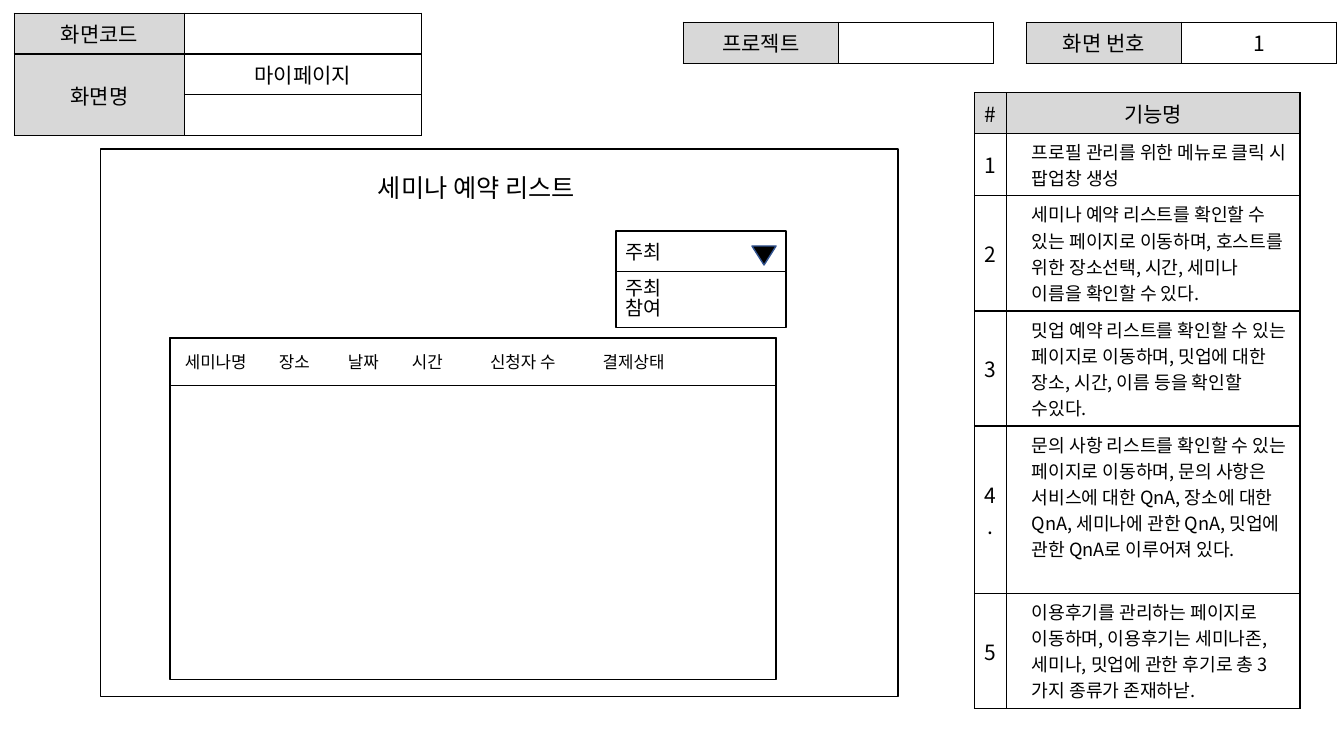
from lxml import etree
from pptx import Presentation
from pptx.dml.color import RGBColor
from pptx.enum.shapes import MSO_SHAPE
from pptx.enum.text import MSO_ANCHOR, MSO_AUTO_SIZE, PP_ALIGN
from pptx.oxml.ns import qn
from pptx.util import Cm, Pt

RECT, TRIANGLE = MSO_SHAPE.RECTANGLE, MSO_SHAPE.ISOSCELES_TRIANGLE
TOP, MIDDLE = MSO_ANCHOR.TOP, MSO_ANCHOR.MIDDLE
LEFT, CENTER = PP_ALIGN.LEFT, PP_ALIGN.CENTER
NO_FIT = MSO_AUTO_SIZE.NONE

FONT = "Noto Sans CJK KR"
COLORS = {"ink": "000000", "label": "D8D8D8", "paper": "FFFFFF", "arrow_edge": "325491"}

TITLE = "세미나 예약 리스트"
SCREEN_INFO = [("화면코드", ""), ("화면명", "마이페이지"), ("", "")]
SCREEN_NUMBER = [("화면 번호", "1")]
PROJECT = [("프로젝트", "")]
FEATURES = [
    ("#", "기능명"),
    ("1", "프로필 관리를 위한 메뉴로 클릭 시 팝업창 생성"),
    ("2", "세미나 예약 리스트를 확인할 수 있는 페이지로 이동하며, 호스트를 위한 장소선택, 시간, 세미나 이름을 확인할 수 있다."),
    ("3", "밋업 예약 리스트를 확인할 수 있는 페이지로 이동하며, 밋업에 대한 장소, 시간, 이름 등을 확인할 수있다."),
    ("4.", "문의 사항 리스트를 확인할 수 있는 페이지로 이동하며, 문의 사항은 서비스에 대한 QnA, 장소에 대한 QnA, 세미나에 관한 QnA, 밋업에 관한 QnA로 이루어져 있다."),
    ("5", "이용후기를 관리하는 페이지로 이동하며, 이용후기는 세미나존, 세미나, 밋업에 관한 후기로 총 3가지 종류가 존재하낟."),
]
SELECTED = "주최"
OPTIONS = ["주최", "참여"]
LIST_HEADS = ["세미나명", "장소", "날짜", "시간", "신청자 수", "결제상태"]
LIST_TABS = [2.37, 4.11, 5.72, 7.69, 10.53]
ROW_H = 1.03


def rgb(name):
    return RGBColor.from_string(COLORS[name])


def write(tf, text, size=15, align=LEFT, indent=0, spacing=None, tabs=()):
    for i, line in enumerate(text.split("\n")):
        p = tf.paragraphs[0] if i == 0 else tf.add_paragraph()
        p.alignment = align
        if spacing:
            p.line_spacing = spacing
        pPr = p._p.get_or_add_pPr()
        if indent:
            pPr.set("marL", str(Cm(indent)))
            pPr.set("indent", "0")
        if tabs:
            tab_list = etree.SubElement(pPr, qn("a:tabLst"))
            for pos in tabs:
                etree.SubElement(tab_list, qn("a:tab"), pos=str(Cm(pos)), algn="l")
        r = p.add_run()
        r.text = line
        r.font.size = Pt(size)
        r.font.name = FONT
        r.font.bold = False
        r.font.color.rgb = rgb("ink")
        etree.SubElement(r._r.get_or_add_rPr(), qn("a:ea"), typeface=FONT)


def add_box(s, x, y, w, h, kind=RECT, fill=None, line="ink"):
    sp = s.shapes.add_shape(kind, Cm(x), Cm(y), Cm(w), Cm(h))
    sp.shadow.inherit = False
    if fill:
        sp.fill.solid()
        sp.fill.fore_color.rgb = rgb(fill)
    else:
        sp.fill.background()
    sp.line.color.rgb = rgb(line)
    sp.line.width = Pt(1)
    sp.text_frame.word_wrap = True
    sp.text_frame.vertical_anchor = MIDDLE
    return sp


def add_borders(cell):
    tcPr = cell._tc.get_or_add_tcPr()
    for side in ("lnL", "lnR", "lnT", "lnB"):
        ln = etree.SubElement(tcPr, qn("a:" + side), w=str(Pt(1)))
        fill = etree.SubElement(ln, qn("a:solidFill"))
        etree.SubElement(fill, qn("a:srgbClr"), val=COLORS["ink"])


def add_grid(s, rows, x, y, widths, heights, is_label, is_note=lambda i, j: False):
    table = s.shapes.add_table(len(rows), len(widths), Cm(x), Cm(y),
                               Cm(sum(widths)), Cm(sum(heights))).table
    table.first_row = table.horz_banding = False
    for col, w in zip(table.columns, widths):
        col.width = Cm(w)
    for i, (row, h) in enumerate(zip(rows, heights)):
        table.rows[i].height = Cm(h)
        for j, text in enumerate(row):
            cell = table.cell(i, j)
            add_borders(cell)
            cell.fill.solid()
            cell.fill.fore_color.rgb = rgb("label" if is_label(i, j) else "paper")
            if is_note(i, j):
                cell.vertical_anchor = TOP
                write(cell.text_frame, text, size=13, indent=0.38)
            else:
                cell.vertical_anchor = MIDDLE
                write(cell.text_frame, text, align=CENTER)
    return table


def first_column(i, j):
    return j == 0


def main():
    prs = Presentation()
    prs.slide_width, prs.slide_height = Cm(33.87), Cm(19.05)
    s = prs.slides.add_slide(prs.slide_layouts[5])

    info = add_grid(s, SCREEN_INFO, 0.36, 0.33, [4.29, 5.97], [ROW_H] * 3, first_column)
    info.cell(1, 0).merge(info.cell(2, 0))
    for rows, x in ((SCREEN_NUMBER, 25.86), (PROJECT, 17.22)):
        add_grid(s, rows, x, 0.56, [3.91, 3.91], [ROW_H], first_column)
    add_grid(s, FEATURES, 24.56, 2.34, [0.81, 7.39], [1.01, 1.57, 2.9, 2.9, 4.21, 2.9],
             lambda i, j: i == 0, lambda i, j: i > 0 and j == 1)

    add_box(s, 2.54, 3.76, 20.09, 13.79)
    title = s.shapes.title
    title.left, title.top, title.width, title.height = Cm(9.27), Cm(4.22), Cm(6.63), Cm(1.02)
    tf = title.text_frame
    tf.auto_size, tf.word_wrap, tf.vertical_anchor = NO_FIT, True, TOP
    write(tf, TITLE, size=18)

    select_x, select_y, select_w, select_h = 15.52, 5.82, 4.29, 1.02
    select = add_box(s, select_x, select_y, select_w, select_h)
    write(select.text_frame, SELECTED, size=14)
    arrow = add_box(s, 18.95, 6.2, 0.61, 0.48, TRIANGLE, "ink", "arrow_edge")
    arrow._element.spPr.find(qn("a:xfrm")).set("flipV", "1")
    options = add_box(s, select_x, select_y + select_h, select_w, 1.42)
    write(options.text_frame, "\n".join(OPTIONS), size=14, spacing=0.85)

    list_x, list_w = 4.29, 15.27
    add_box(s, list_x, 8.51, list_w, 8.61)
    head = add_box(s, list_x, 8.53, list_w, 1.19)
    head.text_frame.margin_left = Cm(0.37)
    write(head.text_frame, "\t".join(LIST_HEADS), size=12, tabs=LIST_TABS)

    prs.save("out.pptx")


if __name__ == "__main__":
    main()
